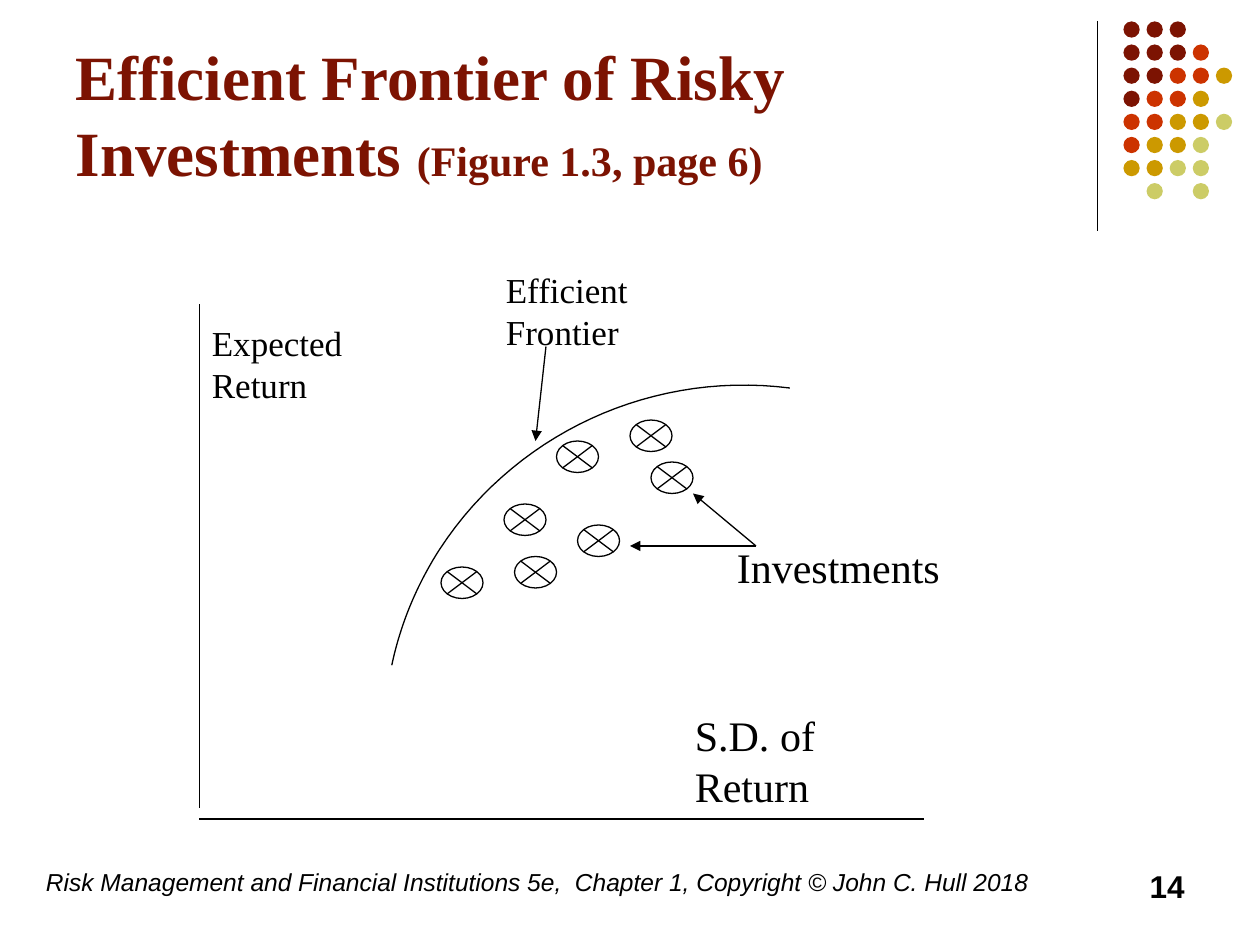
import pptx
import pptx.util
import pptx.dml.color
import pptx.enum.dml
import pptx.enum.shapes
import pptx.enum.text
import pptx.oxml
import pptx.oxml.ns
from dataclasses import dataclass

SHAPE = pptx.enum.shapes.MSO_SHAPE
ALIGN = pptx.enum.text.PP_ALIGN
ANCHOR = pptx.enum.text.MSO_ANCHOR
FIT = pptx.enum.text.MSO_AUTO_SIZE


@dataclass(frozen=True)
class Theme:
    serif: str = "Times New Roman"
    sans: str = "Arial"
    ink: str = "000000"
    paper: str = "FFFFFF"
    maroon: str = "7C1302"
    red: str = "CC3300"
    gold: str = "CC9900"
    olive: str = "CCCC66"
    title: int = 36
    large: int = 24
    label: int = 20
    number: int = 18
    footer: int = 14
    rule: float = 0.75


def rgb(color):
    return pptx.dml.color.RGBColor.from_string(color)


def grid(*cells):
    """Grid cells are a twelfth of an inch: 120 columns by 90 rows."""
    return [pptx.util.Inches(cell / 12) for cell in cells]


class FrontierSlide:
    def __init__(self, deck, theme):
        self.theme = theme
        self.slide = deck.slides.add_slide(deck.slide_layouts[5])
        self.shapes = self.slide.shapes

    def add_words(self, paragraph, text, **formats):
        run = paragraph.add_run()
        run.text = text
        color = formats.pop("color", self.theme.ink)
        formats["size"] = pptx.util.Pt(formats["size"])
        for name, value in formats.items():
            setattr(run.font, name, value)
        run.font.color.rgb = rgb(color)

    def title(self, box, *parts):
        heading = self.shapes.title
        for name, value in zip(("left", "top", "width", "height"), grid(*box)):
            setattr(heading, name, value)
        frame = heading.text_frame
        frame.auto_size = FIT.NONE
        frame.vertical_anchor = ANCHOR.BOTTOM
        paragraph = frame.paragraphs[0]
        paragraph.alignment = ALIGN.LEFT
        for text, size in parts:
            self.add_words(paragraph, text, size=size, bold=True,
                           name=self.theme.serif, color=self.theme.maroon)

    def text(self, box, text, align=ALIGN.LEFT, fit=FIT.NONE, **formats):
        frame = self.shapes.add_textbox(*grid(*box)).text_frame
        frame.word_wrap = True
        frame.auto_size = fit
        paragraph = frame.paragraphs[0]
        paragraph.alignment = align
        self.add_words(paragraph, text, **formats)

    def outline(self, shape, width):
        shape.line.color.rgb = rgb(self.theme.ink)
        shape.line.width = pptx.util.Pt(width)

    def line(self, start, end, arrow=False):
        straight = pptx.enum.shapes.MSO_CONNECTOR.STRAIGHT
        connector = self.shapes.add_connector(straight, *grid(*start, *end))
        self.outline(connector, self.theme.rule)
        properties = connector._element.spPr
        tag = pptx.oxml.ns.qn
        if arrow:
            head = properties.find(tag("a:ln")).makeelement(
                tag("a:tailEnd"), {"type": "triangle"})
            properties.find(tag("a:ln")).append(head)
        properties.append(properties.makeelement(tag("a:effectLst"), {}))

    def shape(self, kind, box, fill, width=None):
        drawn = self.shapes.add_shape(kind, *grid(*box))
        drawn.shadow.inherit = False
        drawn.fill.solid()
        drawn.fill.fore_color.rgb = rgb(fill)
        if width is None:
            drawn.line.fill.background()
        else:
            self.outline(drawn, width)

    def curve(self, points):
        inches = [tuple(pptx.util.Inches(value) for value in point) for point in points]
        builder = self.shapes.build_freeform(*inches[0], scale=1.0)
        builder.add_line_segments(inches[1:], close=False)
        drawn = builder.convert_to_shape()
        drawn.shadow.inherit = False
        drawn.fill.background()
        self.outline(drawn, self.theme.rule)


def bezier(controls, steps=30):
    """Points on a cubic curve, without its first point."""
    for step in range(1, steps + 1):
        t = step / steps
        weights = ((1 - t) ** 3, 3 * t * (1 - t) ** 2, 3 * t * t * (1 - t), t ** 3)
        yield tuple(sum(w * c[axis] for w, c in zip(weights, controls))
                    for axis in (0, 1))


theme = Theme()
deck = pptx.Presentation()
deck.slide_width = pptx.util.Inches(10)
deck.slide_height = pptx.util.Inches(7.5)
page = FrontierSlide(deck, theme)

# Corner ornament: a rule and a field of dots
page.line((104.5, 2), (104.5, 22))
dot_colors = {"m": theme.maroon, "r": theme.red, "g": theme.gold, "o": theme.olive}
dot_rows = ("mmm", "mmmr", "mmrrg", "mrrg", "rrggo", "rggo", "ggoo", ".o.o")
for row, codes in enumerate(dot_rows):
    for column, code in enumerate(codes):
        if code in dot_colors:
            page.shape(SHAPE.OVAL, (107 + 2.2 * column, 2.04 + 2.2 * row, 1.55, 1.55),
                       dot_colors[code])

# Title and footer
page.title((6, 1.6, 99, 17),
           ("Efficient Frontier of Risky Investments ", theme.title),
           ("(Figure 1.3, page 6)", theme.large))
page.text((3.2, 82, 99.2, 6),
          "Risk Management and Financial Institutions 5e,  Chapter 1, "
          "Copyright © John C. Hull 2018",
          size=theme.footer, name=theme.sans, italic=True)
page.text((86, 82, 28, 6), "14", align=ALIGN.RIGHT,
          size=theme.number, name=theme.sans, bold=True)

# Axes
page.line((19, 29), (19, 77))
page.line((19, 78), (88, 78))

# Efficient frontier, in inches
right_end, middle, left_end = (6.27, 3.08), (3.49, 4.36), (3.11, 5.28)
upper = (right_end, (5.17, 2.94), (4.09, 3.44), middle)
lower = (middle, (3.31, 4.64), (3.18, 4.95), left_end)
page.curve([right_end, *bezier(upper), *bezier(lower)])

# Risky investments
for investment in ((42, 54), (48, 48), (49, 53), (53, 42), (55, 50), (60, 40), (62, 44)):
    page.shape(SHAPE.FLOWCHART_SUMMING_JUNCTION, (*investment, 4, 3), theme.paper, width=0)

# Labels
for box, label, size in (
    ((47, 25, 23, 9.25), "Efficient Frontier", theme.label),
    ((19, 30, 19, 9.25), "Expected Return", theme.label),
    ((65, 67, 25, 10.8), "S.D. of Return", theme.large),
    ((69, 51, 27, 6), "Investments", theme.large),
):
    page.text(box, label, fit=FIT.SHAPE_TO_FIT_TEXT, size=size, name=theme.serif)

# Arrows from labels to the chart
for start, end in (((72, 52), (66, 47)), ((72, 52), (60, 52)), ((52, 33), (51, 42))):
    page.line(start, end, arrow=True)

deck.save("out.pptx")
